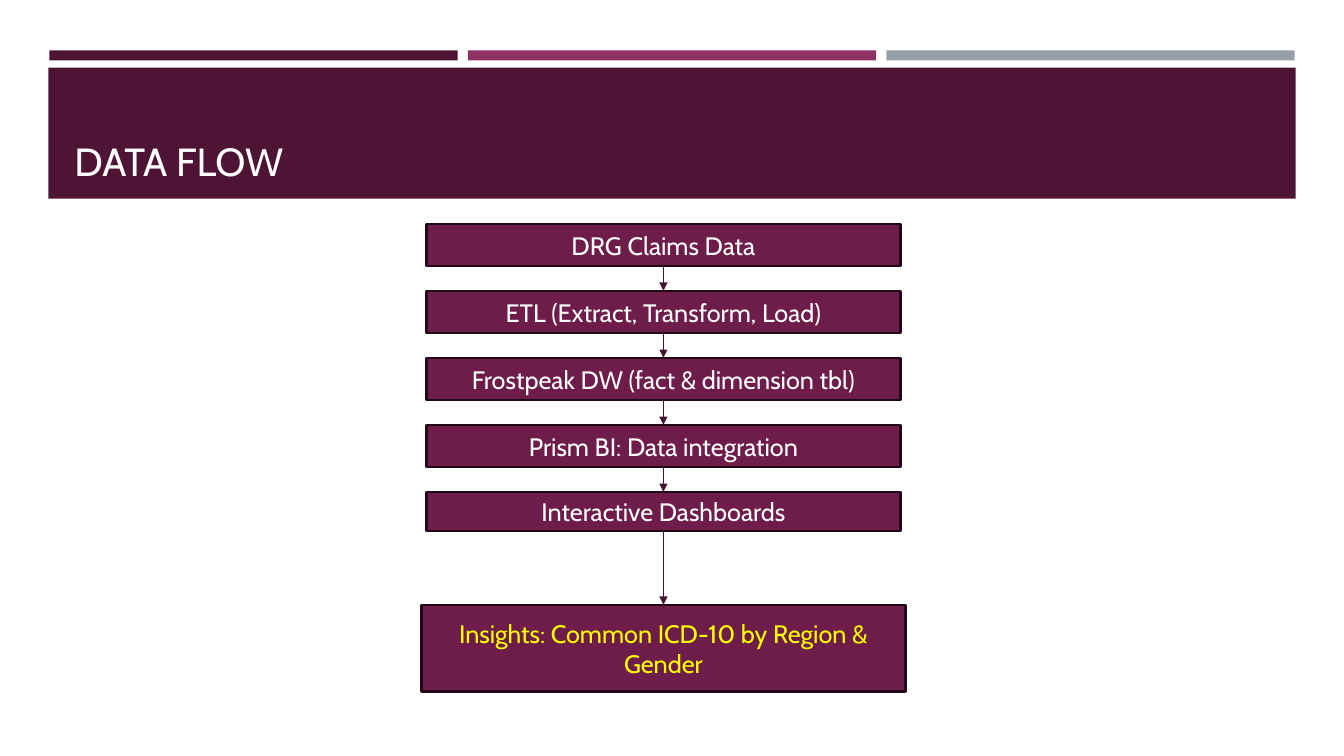
from lxml import etree
from pptx import Presentation
from pptx.dml.color import RGBColor
from pptx.enum.shapes import MSO_CONNECTOR, MSO_SHAPE
from pptx.enum.text import MSO_ANCHOR, PP_ALIGN
from pptx.oxml.ns import qn
from pptx.util import Inches, Pt

RECT = MSO_SHAPE.RECTANGLE
STRAIGHT = MSO_CONNECTOR.STRAIGHT
MIDDLE, BOTTOM = MSO_ANCHOR.MIDDLE, MSO_ANCHOR.BOTTOM
LEFT, CENTER = PP_ALIGN.LEFT, PP_ALIGN.CENTER

FONT = "Cabin"
COLORS = {
    "dark": "4D1434",
    "pink": "903163",
    "gray": "969FA7",
    "step": "6E1D4A",
    "edge": "220917",
    "arrow": "45122F",
    "white": "FFFFFF",
    "yellow": "FFFF00",
}
STEPS = [
    "DRG Claims Data",
    "ETL (Extract, Transform, Load)",
    "Frostpeak DW (fact & dimension tbl)",
    "Prism BI: Data integration",
    "Interactive Dashboards",
]
INSIGHT = "Insights: Common ICD-10 by Region & Gender"


def color(name):
    return RGBColor.from_string(COLORS[name])


def add_rect(slide, box, fill, edge=None):
    shape = slide.shapes.add_shape(RECT, *map(Inches, box))
    shape.shadow.inherit = False
    shape.fill.solid()
    shape.fill.fore_color.rgb = color(fill)
    if edge:
        shape.line.color.rgb = color(edge)
        shape.line.width = Pt(1.75)
    else:
        shape.line.fill.background()
    return shape


def set_text(shape, text, size, tint, align, anchor):
    frame = shape.text_frame
    frame.word_wrap = True
    frame.vertical_anchor = anchor
    para = frame.paragraphs[0]
    para.text = text
    para.alignment = align
    para.font.name = FONT
    para.font.size = Pt(size)
    para.font.color.rgb = color(tint)


def add_arrow(slide, x, top, bottom):
    line = slide.shapes.add_connector(
        STRAIGHT, Inches(x), Inches(top), Inches(x), Inches(bottom))
    line.line.color.rgb = color("arrow")
    line.line.width = Pt(1)
    etree.SubElement(line.line._get_or_add_ln(), qn("a:tailEnd"), type="triangle")
    etree.SubElement(line._element.spPr, qn("a:effectLst"))


def add_header(slide, left, top, width, height):
    """Place three thin bars above a title band."""
    gap = 0.1
    bar = (width - 0.02 - 2 * gap) / 3
    for i, fill in enumerate(("dark", "pink", "gray")):
        add_rect(slide, (left + 0.01 + i * (bar + gap), top, bar, 0.1), fill)
    band = top + 0.17
    add_rect(slide, (left, band, width, height - 0.17), "dark")
    title = slide.shapes.add_textbox(
        Inches(left + 0.16), Inches(band + 0.1), Inches(width - 0.31), Inches(1.11))
    set_text(title, "DATA FLOW", 28, "white", LEFT, BOTTOM)


def add_flow(slide, left, top, width, height):
    """Stack the steps at an equal pitch, with the wider insight box at the foot."""
    pitch, inset, foot = 0.665, 0.05, 0.86
    parts = []
    for i, text in enumerate(STEPS):
        tall = 0.39 if i == len(STEPS) - 1 else 0.42
        box = (left + inset, top + i * pitch, width - 2 * inset, tall)
        parts.append((text, box, "white"))
    parts.append((INSIGHT, (left, top + height - foot, width, foot), "yellow"))

    for text, box, tint in parts:
        shape = add_rect(slide, box, "step", "edge")
        set_text(shape, text, 18, tint, CENTER, MIDDLE)
    for (_, box, _), (_, below, _) in zip(parts, parts[1:]):
        add_arrow(slide, left + width / 2, box[1] + box[3], below[1])


def main():
    deck = Presentation()
    deck.slide_width, deck.slide_height = Inches(13.33), Inches(7.5)
    slide = deck.slides.add_slide(deck.slide_layouts[6])
    add_header(slide, 0.48, 0.5, 12.37, 1.47)
    add_flow(slide, 4.18, 2.22, 4.8, 4.64)
    deck.save("out.pptx")


if __name__ == "__main__":
    main()
